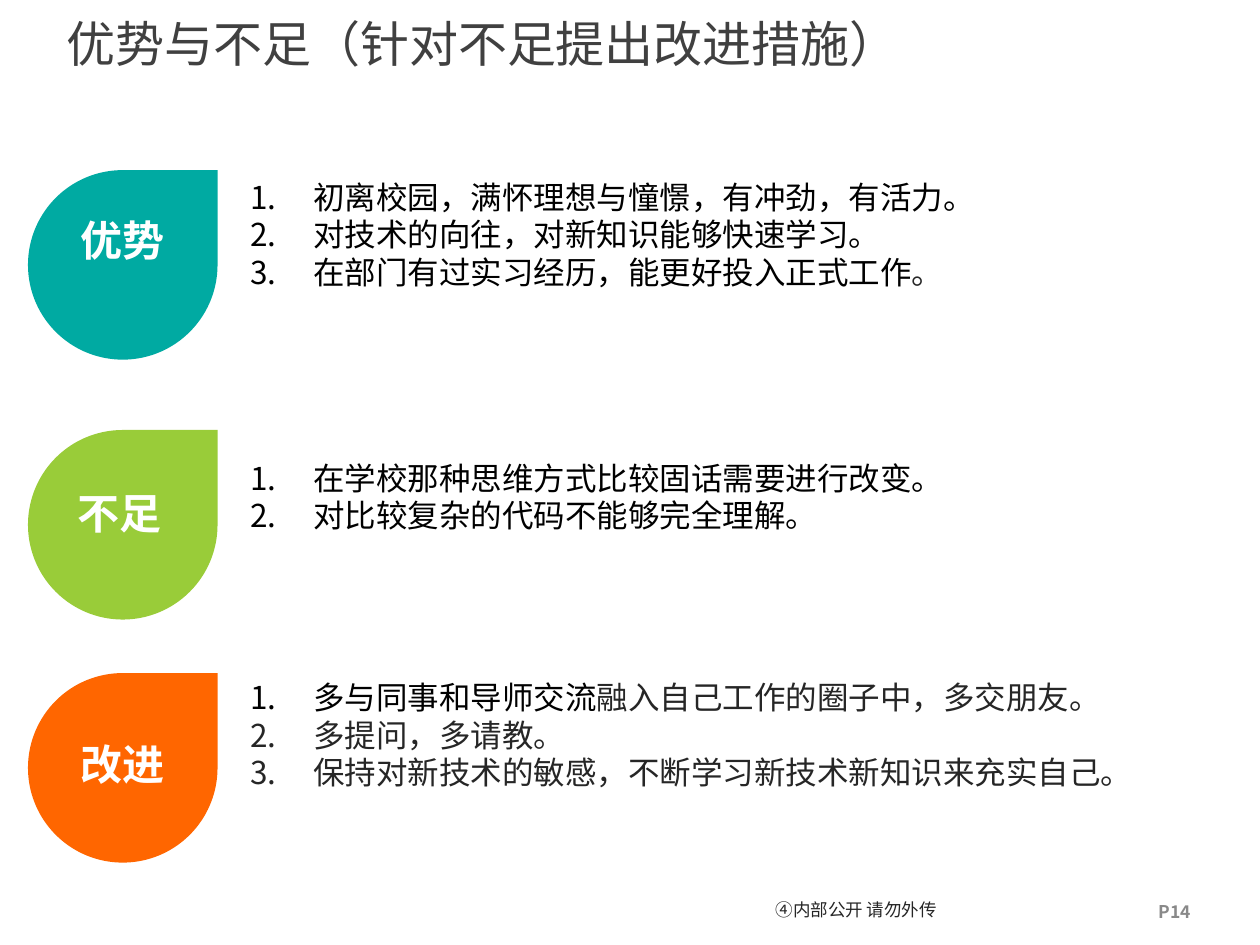
from lxml.etree import SubElement
from pptx import Presentation
from pptx.dml.color import RGBColor
from pptx.enum.shapes import MSO_SHAPE
from pptx.enum.text import MSO_ANCHOR, PP_ALIGN
from pptx.oxml.ns import qn
from pptx.util import Pt

SANS = "Noto Sans CJK SC"
HUE = {
    "teal": "00AAA2", "green": "99CC39", "orange": "FF6600",
    "black": "000000", "dark": "262626", "title": "404040",
    "gray": "898989", "white": "FFFFFF",
}
LEFT, MID, JUST = PP_ALIGN.LEFT, PP_ALIGN.CENTER, PP_ALIGN.JUSTIFY
TOP, CORE = MSO_ANCHOR.TOP, MSO_ANCHOR.MIDDLE


def add_frame(slide, box, anchor=TOP):
    frame = slide.shapes.add_textbox(*map(Pt, box)).text_frame
    frame.word_wrap = True
    frame.vertical_anchor = anchor
    return frame


def add_run(para, text, size, hue, bold=False, face=SANS):
    run = para.add_run()
    run.text = text
    font = run.font
    font.size, font.bold, font.name = Pt(size), bold, face
    font.color.rgb = RGBColor.from_string(HUE[hue])
    if face == SANS:
        SubElement(font._element, qn("a:ea"), typeface=face)


def add_line(slide, box, text, size, hue, bold=False, face=SANS,
             align=LEFT, anchor=TOP):
    frame = add_frame(slide, box, anchor)
    para = frame.paragraphs[0]
    para.alignment = align
    add_run(para, text, size, hue, bold, face)
    return frame


def add_list(slide, box, items, align):
    frame = add_frame(slide, box)
    for place, runs in enumerate(items):
        para = frame.add_paragraph() if place else frame.paragraphs[0]
        para.alignment = align
        props = para._p.get_or_add_pPr()
        props.set("marL", str(Pt(36)))
        props.set("indent", str(-Pt(36)))
        SubElement(props, qn("a:buFont"), typeface=SANS)
        SubElement(props, qn("a:buAutoNum"), type="arabicPeriod")
        for text, hue in runs:
            add_run(para, text, 18, hue)


def add_block(slide, box, hue, name, shift, drop, items, align):
    left, top, width, height = box
    tear = slide.shapes.add_shape(
        MSO_SHAPE.TEAR, Pt(left), Pt(top), Pt(height), Pt(height))
    tear.shadow.inherit = False
    tear.fill.solid()
    tear.fill.fore_color.rgb = RGBColor.from_string(HUE[hue])
    tear.line.fill.background()
    label = (left + shift[0], top + shift[1], 118, 36)
    add_line(slide, label, name, 24, "white", True, "Arial", MID)
    body = (left + 120, top + drop, width - 120, 7 + 22 * len(items))
    add_list(slide, body, items, align)


def add_head(slide, box):
    add_line(slide, box, "优势与不足（针对不足提出改进措施）", 28, "title",
             anchor=CORE)


def add_foot(slide, box):
    left, top, width, height = box
    note = add_line(slide, (left, top, 127.5, height), "④内部公开 请勿外传",
                    10, "dark", align=MID, anchor=CORE)
    note.margin_left = note.margin_right = Pt(6)
    note.margin_top = note.margin_bottom = Pt(1)
    note.paragraphs[0].line_spacing = Pt(14)
    add_line(slide, (left + width - 65, top + 5.7, 65, 19.5), "P14",
             10, "gray", True)


def main():
    deck = Presentation()
    deck.slide_width, deck.slide_height = Pt(720), Pt(540)
    slide = deck.slides.add_slide(deck.slide_layouts[6])
    add_head(slide, (31, 0, 527, 49))
    blocks = [
        (97.2, "teal", "优势", (-5, 21.6), 0.7, JUST, [
            [("初离校园，满怀理想与憧憬，有冲劲，有活力。", "black")],
            [("对技术的向往，对新知识能够快速学习。", "black")],
            [("在部门有过实习经历，能更好投入正式工作", "black"),
             ("。", "dark")],
        ]),
        (245.7, "green", "不足", (-6.5, 29.3), 12.8, JUST, [
            [("在学校那种思维方式比较固话需要进行改变。", "black")],
            [("对比较复杂的代码不能够完全理解。", "black")],
        ]),
        (384.6, "orange", "改进", (-5, 33.7), -0.8, LEFT, [
            [("多与同事和导师交流", "black"),
             ("融入自己工作的圈子中，多交朋友。", "dark")],
            [("多提问，多请教。", "dark")],
            [("保持对新技术的敏感，不断学习新技术新知识来充实自己。",
              "dark")],
        ]),
    ]
    for top, hue, name, shift, drop, align, items in blocks:
        add_block(slide, (16, top, 692, 108.3), hue, name, shift, drop,
                  items, align)
    add_foot(slide, (425.5, 505.5, 294.5, 26))
    deck.save("out.pptx")


if __name__ == "__main__":
    main()
